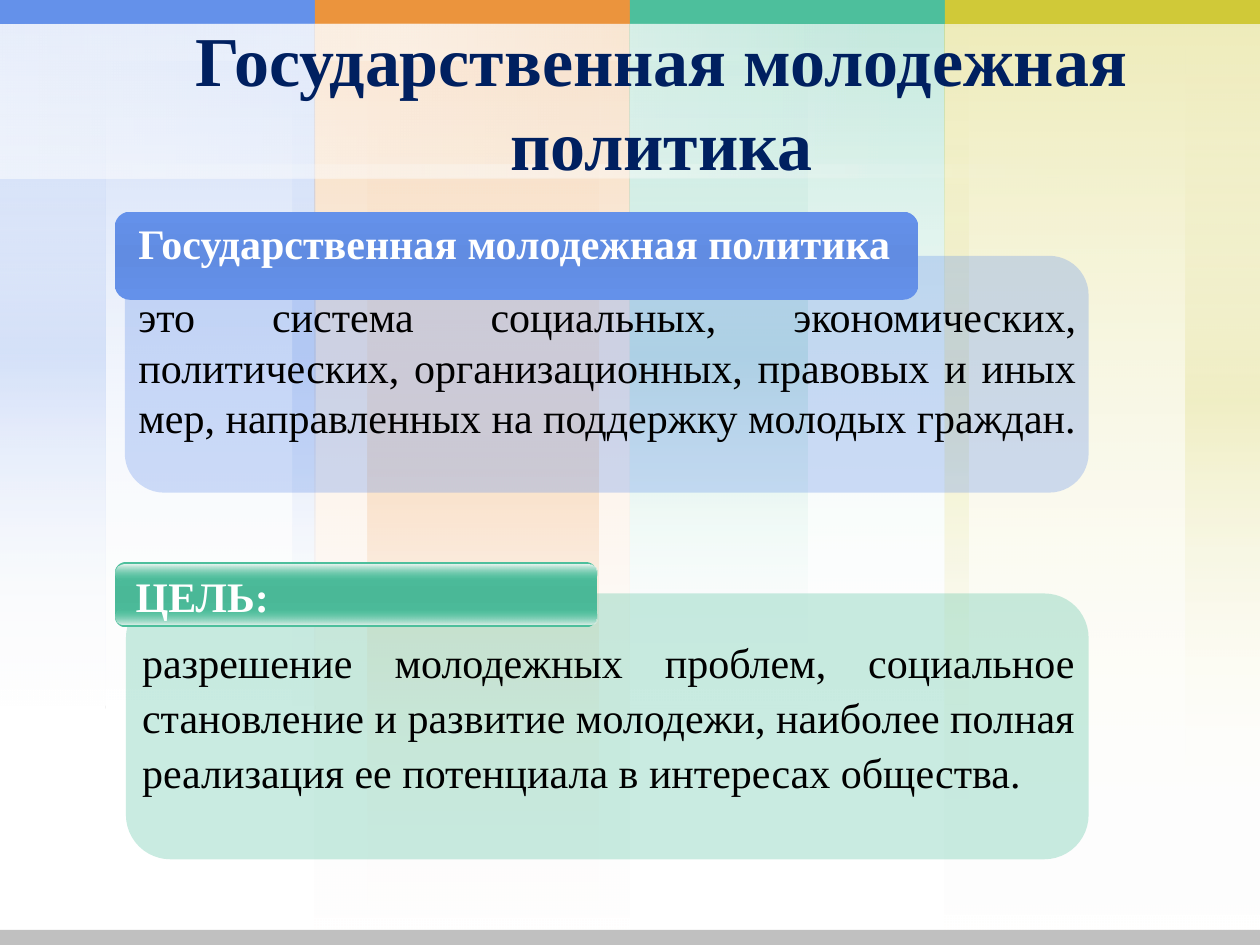
import pptx
import pptx.util
import pptx.dml.color
import pptx.enum.shapes
import pptx.enum.text
import pptx.oxml
import pptx.oxml.ns

WIDTH, HEIGHT = 10, 7.5
COLUMN = WIDTH / 4
COLORS = {
    "blue": "6491EA", "orange": "EB943D", "green": "4DBF9C", "olive": "D0C938",
    "white": "FFFFFF", "gray": "C0C0C0", "navy": "002060", "black": "000000",
    "deep blue": "618CE2", "deep green": "4AB897",
    "shine top": "EAF4F0", "shine bottom": "E2F1EB",
}
SHAPES = pptx.enum.shapes.MSO_SHAPE
ALIGN = pptx.enum.text.PP_ALIGN
ANCHOR = pptx.enum.text.MSO_ANCHOR
GROW = pptx.enum.text.MSO_AUTO_SIZE.SHAPE_TO_FIT_TEXT

# Content: text, box, font format, paragraph format, frame format
HEADING = {"size": 24, "bold": True, "color": "white"}
BODY = {"size": 24, "bold": False, "color": "black"}
JUSTIFIED = {"alignment": ALIGN.JUSTIFY}
TEXTS = [
    ("Государственная молодежная политика", (0.5, 0.28, 9.5, 1.03),
     {"size": 40, "bold": True, "color": "navy"},
     {"alignment": ALIGN.CENTER},
     {"word_wrap": True, "vertical_anchor": ANCHOR.MIDDLE}),
    ("это система социальных, экономических, политических, организационных, "
     "правовых и иных мер, направленных на поддержку молодых граждан.",
     (1, 2.26, 7.64, 1.72), BODY, JUSTIFIED, {"word_wrap": True, "auto_size": GROW}),
    ("ЦЕЛЬ:", (0.97, 4.48, 1.27, 0.5), HEADING, {"alignment": ALIGN.CENTER},
     {"word_wrap": False, "auto_size": GROW}),
    ("разрешение молодежных проблем, социальное становление и развитие молодежи, "
     "наиболее полная реализация ее потенциала в интересах общества.",
     (1.03, 4.96, 7.6, 2.3), BODY, JUSTIFIED | {"line_spacing": 1.1},
     {"word_wrap": True, "auto_size": GROW}),
    ("Государственная молодежная политика", (1, 1.68, 6.29, 0.5), HEADING,
     {"alignment": ALIGN.LEFT}, {"word_wrap": True, "auto_size": GROW}),
]

# Background columns: color, column number, wash height,
# accent strips (offset in column, width, height)
COLUMNS = [
    ("orange", 1, 7.5, [(0.42, 1.83, 7.5)]),
    ("green", 2, 5.62, [(0, 1.41, 5.62)]),
    ("olive", 3, 7.47, [(0, 0.19, 6.37), (1.91, 0.59, 6.37)]),
    ("blue", 0, 5.62, [(2.32, 0.18, 5.62), (0, 0.84, 5.62)]),
]


def fade(color, opacity):
    return [(0, color, opacity), (100, "white", 0)]


def glow(color, opacity):
    return [(0, "white", 0), (50, color, opacity), (100, "white", 0)]


def sheen(edge, middle):
    return [(0, edge, 100), (50, middle, 100), (100, edge, 100)]


# Light bands behind the title: box before turning, gradient
TITLE_WASH = ((3.15, -2.95, 1.22, 7.51), fade("white", 35))
TITLE_BANDS = [
    ((4.16, -2.85, 0.1, 8.42), glow("white", 35)),
    TITLE_WASH,
    ((3.06, -2.87, 0.29, 6.41), glow("white", 35)),
    TITLE_WASH,
]

# Rounded panels and header tabs: box, corner, gradient stops
PANELS = [
    ((0.99, 2.03, 7.65, 1.88), 0.167, [(0, "blue", 30), (100, "blue", 30)]),
    ((0.91, 1.68, 6.38, 0.7), 0.175, sheen("blue", "deep blue")),
    ((1, 4.71, 7.64, 2.11), 0.167, [(0, "green", 30), (100, "green", 30)]),
    ((0.91, 4.46, 3.83, 0.52), 0.175, sheen("green", "deep green")),
    ((0.92, 4.83, 3.82, 0.13), 0.5, [(0, "green", 0), (100, "shine bottom", 100)]),
    ((0.92, 4.48, 3.82, 0.13), 0.5, [(0, "shine top", 100), (100, "green", 0)]),
]


def inches(box):
    return [pptx.util.Inches(length) for length in box]


def rgb(name):
    return pptx.dml.color.RGBColor.from_string(COLORS[name])


def block(slide, box, kind=SHAPES.RECTANGLE):
    shape = slide.shapes.add_shape(kind, *inches(box))
    shape.shadow.inherit = False
    shape.line.fill.background()
    return shape


def solid(slide, box, color):
    shape = block(slide, box)
    shape.fill.solid()
    shape.fill.fore_color.rgb = rgb(color)


def shaded(slide, box, stops, kind=SHAPES.RECTANGLE):
    """Fill from top to bottom; a stop is position %, color, opacity %."""
    shape = block(slide, box, kind)
    marks = "".join(
        f'<a:gs pos="{position * 1000}"><a:srgbClr val="{COLORS[color]}">'
        f'<a:alpha val="{opacity * 1000}"/></a:srgbClr></a:gs>'
        for position, color, opacity in stops)
    if stops[0][1:] == stops[-1][1:] and len(stops) == 2:
        color, opacity = stops[0][1:]
        fill = (f'<a:solidFill {pptx.oxml.ns.nsdecls("a")}><a:srgbClr val="{COLORS[color]}">'
                f'<a:alpha val="{opacity * 1000}"/></a:srgbClr></a:solidFill>')
    else:
        fill = (f'<a:gradFill {pptx.oxml.ns.nsdecls("a")} rotWithShape="1"><a:gsLst>{marks}'
                '</a:gsLst><a:lin ang="5400000" scaled="1"/></a:gradFill>')
    outline = shape.line._get_or_add_ln()
    outline.addprevious(pptx.oxml.parse_xml(fill))
    return shape


def write(slide, words, box, font_format, paragraph_format, frame_format):
    frame = slide.shapes.add_textbox(*inches(box)).text_frame
    paragraph = frame.paragraphs[0]
    run = paragraph.add_run()
    run.text = words
    font = {"name": "Times New Roman", "size": pptx.util.Pt(font_format["size"]),
            "bold": font_format["bold"]}
    for target, values in ((frame, frame_format), (paragraph, paragraph_format),
                           (run.font, font)):
        for attribute, value in values.items():
            setattr(target, attribute, value)
    run.font.color.rgb = rgb(font_format["color"])


def main():
    deck = pptx.Presentation()
    deck.slide_width, deck.slide_height = inches((WIDTH, HEIGHT))
    slide = deck.slides.add_slide(deck.slide_layouts[6])

    # Tinted columns
    for color, number, height, strips in COLUMNS:
        left = number * COLUMN
        wash = ((left, 0, COLUMN, height), fade(color, 20))
        accents = [((left + offset, 0, width, tall), glow(color, 20))
                   for offset, width, tall in strips]
        # The olive wash lies over its first strip, the others under theirs
        layers = ([accents[0], wash, accents[1], wash] if color == "olive"
                  else [wash, *accents, wash])
        for box, stops in layers:
            shaded(slide, box, stops)

    # Top and bottom bars
    for number, color in enumerate(("blue", "orange", "green", "olive")):
        solid(slide, (number * COLUMN, 0, COLUMN, 0.19), color)
    for box, stops in TITLE_BANDS:
        shaded(slide, box, stops).rotation = 270
    solid(slide, (0, HEIGHT - 0.12, WIDTH, 0.12), "gray")

    # Panels, then all texts
    for box, corner, stops in PANELS:
        shaded(slide, box, stops, SHAPES.ROUNDED_RECTANGLE).adjustments[0] = corner
    for text in TEXTS:
        write(slide, *text)
    deck.save("out.pptx")


if __name__ == "__main__":
    main()
